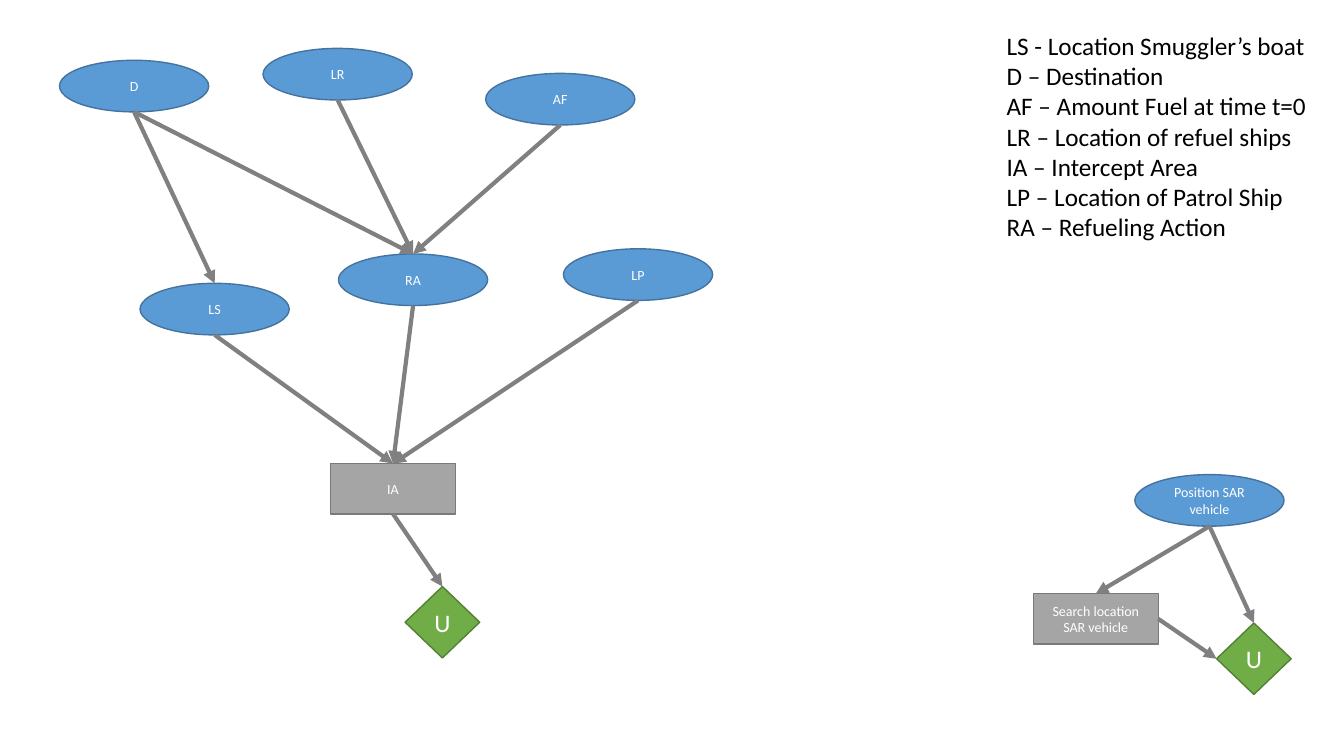
import pptx
import pptx.dml.color
import pptx.enum.shapes
import pptx.enum.text
import pptx.util
import pptx.oxml.ns
import lxml.etree

Cm, Pt = pptx.util.Cm, pptx.util.Pt
SHAPE = pptx.enum.shapes.MSO_SHAPE
FONT = "Calibri"
COLORS = {
    "chance": "5B9BD5", "chance_edge": "43739E",
    "decision": "A5A5A5", "decision_edge": "7A7A7A",
    "utility": "70AD47", "utility_edge": "538035",
    "arrow": "808080", "label": "FFFFFF", "legend": "000000",
}

# Node kinds: preset, width, height (cm), text size (pt)
KINDS = {
    "chance": (SHAPE.OVAL, 3.76, 1.3, 10),
    "decision": (SHAPE.RECTANGLE, 3.15, 1.27, 10),
    "utility": (SHAPE.DIAMOND, 1.88, 1.8, 18),
}

# Nodes: key -> kind, label, left, top (cm)
NODES = {
    "D": ("chance", "D", 1.5, 1.52),
    "LR": ("chance", "LR", 6.63, 1.22),
    "AF": ("chance", "AF", 12.24, 1.85),
    "LS": ("chance", "LS", 3.53, 7.14),
    "RA": ("chance", "RA", 8.53, 6.4),
    "LP": ("chance", "LP", 14.2, 6.27),
    "IA": ("decision", "IA", 8.33, 11.68),
    "U": ("utility", "U", 10.21, 14.78),
    "Position": ("chance", "Position SAR vehicle", 28.6, 11.96),
    "Search": ("decision", "Search location SAR vehicle", 26.04, 14.96),
    "U SAR": ("utility", "U", 30.66, 15.7),
}

# Arrows: from node, side, to node, side
TOP, LEFT, BOTTOM, RIGHT = range(4)
ARROWS = [
    ("D", BOTTOM, "LS", TOP),
    ("D", BOTTOM, "RA", TOP),
    ("LR", BOTTOM, "RA", TOP),
    ("AF", BOTTOM, "RA", TOP),
    ("LS", BOTTOM, "IA", TOP),
    ("RA", BOTTOM, "IA", TOP),
    ("LP", BOTTOM, "IA", TOP),
    ("IA", BOTTOM, "U", TOP),
    ("Position", BOTTOM, "Search", TOP),
    ("Position", BOTTOM, "U SAR", TOP),
    ("Search", RIGHT, "U SAR", LEFT),
]

LEGEND = [
    "LS - Location Smuggler’s boat",
    "D – Destination",
    "AF – Amount Fuel at time t=0",
    "LR – Location of refuel ships",
    "IA – Intercept Area",
    "LP – Location of Patrol Ship",
    "RA – Refueling Action",
]


def color(name):
    return pptx.dml.color.RGBColor.from_string(COLORS[name])


def add_run(paragraph, text, size, color_name):
    run = paragraph.add_run()
    run.text = text
    run.font.name = FONT
    run.font.size = Pt(size)
    run.font.color.rgb = color(color_name)


def add_node(slide, kind, label, left, top):
    preset, width, height, size = KINDS[kind]
    node = slide.shapes.add_shape(preset, Cm(left), Cm(top), Cm(width), Cm(height))
    node.shadow.inherit = False
    node.fill.solid()
    node.fill.fore_color.rgb = color(kind)
    node.line.color.rgb = color(kind + "_edge")
    node.line.width = Pt(1)
    frame = node.text_frame
    frame.word_wrap = True
    frame.vertical_anchor = pptx.enum.text.MSO_ANCHOR.MIDDLE
    frame.paragraphs[0].alignment = pptx.enum.text.PP_ALIGN.CENTER
    add_run(frame.paragraphs[0], label, size, "label")
    return node


def side_point(node, side):
    across, down = {TOP: (0.5, 0), LEFT: (0, 0.5), BOTTOM: (0.5, 1), RIGHT: (1, 0.5)}[side]
    return node.left + int(node.width * across), node.top + int(node.height * down)


def add_arrow(slide, source, source_side, target, target_side):
    arrow = slide.shapes.add_connector(
        pptx.enum.shapes.MSO_CONNECTOR.STRAIGHT,
        *side_point(source, source_side), *side_point(target, target_side))
    # An oval numbers its sites in eighths, so only its top matches a side number
    if source.auto_shape_type != SHAPE.OVAL:
        arrow.begin_connect(source, source_side)
    arrow.end_connect(target, target_side)
    arrow.line.color.rgb = color("arrow")
    arrow.line.width = Pt(3)
    qn = pptx.oxml.ns.qn
    lxml.etree.SubElement(arrow.line._get_or_add_ln(), qn("a:tailEnd"), type="triangle")
    lxml.etree.SubElement(arrow._element.spPr, qn("a:effectLst"))


def add_legend(slide):
    legend = slide.shapes.add_textbox(Cm(25.12), Cm(0.64), Cm(8.15), Cm(5.64))
    frame = legend.text_frame
    frame.word_wrap = False
    frame.auto_size = pptx.enum.text.MSO_AUTO_SIZE.SHAPE_TO_FIT_TEXT
    for index, entry in enumerate(LEGEND):
        paragraph = frame.add_paragraph() if index else frame.paragraphs[0]
        add_run(paragraph, entry, 18, "legend")


def main():
    deck = pptx.Presentation()
    deck.slide_width, deck.slide_height = Cm(33.87), Cm(19.05)
    slide = deck.slides.add_slide(deck.slide_layouts[6])
    # Network nodes, then the arrows between them
    nodes = {key: add_node(slide, *node) for key, node in NODES.items()}
    for source, source_side, target, target_side in ARROWS:
        add_arrow(slide, nodes[source], source_side, nodes[target], target_side)
    # Legend of abbreviations
    add_legend(slide)
    deck.save("out.pptx")


if __name__ == "__main__":
    main()
